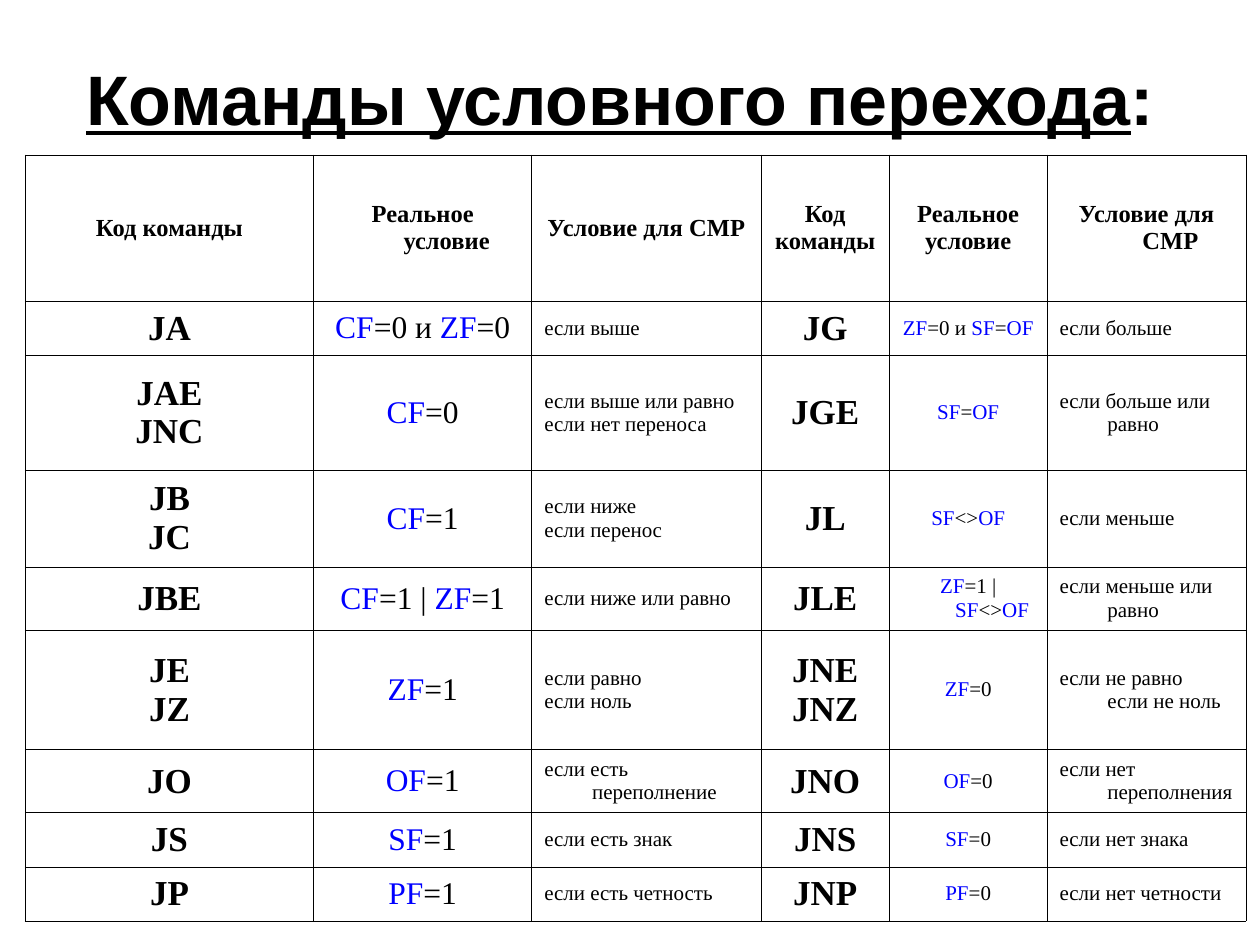
import itertools
from dataclasses import dataclass

import pptx
import pptx.dml.color
import pptx.enum.text
import pptx.oxml
import pptx.oxml.ns
import pptx.util

Inches = pptx.util.Inches
CENTER = pptx.enum.text.PP_ALIGN.CENTER
LEFT = pptx.enum.text.PP_ALIGN.LEFT
MIDDLE = pptx.enum.text.MSO_ANCHOR.MIDDLE


@dataclass(frozen=True)
class Theme:
    ink: str = "000000"
    flag: str = "0000FF"
    title_font: str = "Arial"
    table_font: str = "Times New Roman"
    title_size: int = 40
    header_size: int = 14
    command_size: int = 20
    flag_size: int = 18
    note_size: int = 12
    border_width: float = 0.34
    hanging: float = 0.38


THEME = Theme()


@dataclass(frozen=True)
class CellStyle:
    size: int
    bold: bool = False
    align: pptx.enum.text.PP_ALIGN = CENTER
    marks_flags: bool = False


@dataclass(frozen=True)
class CommandRow:
    height: float
    cells: tuple[str | tuple[str, ...], ...]


HEADER = CellStyle(THEME.header_size, bold=True)
COMMAND = CellStyle(THEME.command_size, bold=True)
NOTE = CellStyle(THEME.note_size, align=LEFT)
COLUMN_STYLES = (
    COMMAND, CellStyle(THEME.flag_size, marks_flags=True), NOTE,
    COMMAND, CellStyle(THEME.note_size, marks_flags=True), NOTE,
)
COLUMN_WIDTHS = (2.29, 1.73, 1.82, 1.02, 1.25, 1.58)

ROWS = (
    CommandRow(1.16, ("Код команды", "Реальное условие", "Условие для CMP",
                      ("Код", "команды"), ("Реальное", "условие"), "Условие для CMP")),
    CommandRow(0.43, ("JA", "CF=0 и ZF=0", "если выше",
                      "JG", "ZF=0 и SF=OF", "если больше")),
    CommandRow(0.91, (("JAE", "JNC"), "CF=0", ("если выше или равно", "если нет переноса"),
                      "JGE", "SF=OF", "если больше или равно")),
    CommandRow(0.77, (("JB", "JC"), "CF=1", ("если ниже", "если перенос"),
                      "JL", "SF<>OF", "если меньше")),
    CommandRow(0.5, ("JBE", "CF=1 | ZF=1", "если ниже или равно",
                     "JLE", "ZF=1 | SF<>OF", "если меньше или равно")),
    CommandRow(0.95, (("JE", "JZ"), "ZF=1", ("если равно", "если ноль"),
                      ("JNE", "JNZ"), "ZF=0", "если не равно\nесли не ноль")),
    CommandRow(0.5, ("JO", "OF=1", "если есть переполнение",
                     "JNO", "OF=0", "если нет переполнения")),
    CommandRow(0.43, ("JS", "SF=1", "если есть знак",
                      "JNS", "SF=0", "если нет знака")),
    CommandRow(0.43, ("JP", "PF=1", "если есть четность",
                      "JNP", "PF=0", "если нет четности")),
)


def add_run(paragraph, text: str, font: str, size: int, color: str,
            bold: bool, underline: bool = False) -> None:
    run = paragraph.add_run()
    run.text = text
    run.font.name = font
    run.font.size = pptx.util.Pt(size)
    run.font.bold = bold
    run.font.underline = underline
    run.font.color.rgb = pptx.dml.color.RGBColor.from_string(color)


def fill_paragraph(paragraph, text: str, style: CellStyle) -> None:
    paragraph.alignment = style.align
    properties = paragraph._p.get_or_add_pPr()
    properties.set("marL", str(Inches(THEME.hanging)))
    properties.set("indent", str(-Inches(THEME.hanging)))
    for number, line in enumerate(text.split("\n")):
        if number:
            paragraph.add_line_break()
        pieces = [(False, line)]
        if style.marks_flags:
            pieces = [(is_flag, "".join(letters))
                      for is_flag, letters in itertools.groupby(line, str.isupper)]
        for is_flag, piece in pieces:
            add_run(paragraph, piece, THEME.table_font, style.size,
                    THEME.flag if is_flag else THEME.ink, style.bold)


def add_borders(cell) -> None:
    properties = cell._tc.get_or_add_tcPr()
    width = pptx.util.Pt(THEME.border_width)
    for side in ("lnL", "lnR", "lnT", "lnB"):
        properties.append(pptx.oxml.parse_xml(
            f'<a:{side} {pptx.oxml.ns.nsdecls("a")} w="{width}"><a:solidFill>'
            f'<a:srgbClr val="{THEME.ink}"/></a:solidFill></a:{side}>'))


def fill_cell(cell, content: str | tuple[str, ...], style: CellStyle) -> None:
    add_borders(cell)
    cell.fill.background()
    cell.vertical_anchor = MIDDLE
    frame = cell.text_frame
    lines = (content,) if isinstance(content, str) else content
    for number, line in enumerate(lines):
        paragraph = frame.add_paragraph() if number else frame.paragraphs[0]
        fill_paragraph(paragraph, line, style)


def add_title(slide) -> None:
    title = slide.shapes.title
    title.left, title.top = Inches(0.5), Inches(0)
    title.width, title.height = Inches(9), Inches(1.55)
    title.text_frame.vertical_anchor = MIDDLE
    paragraph = title.text_frame.paragraphs[0]
    paragraph.alignment = CENTER
    for text, underline in (("Команды условного перехода", True), (": ", False)):
        add_run(paragraph, text, THEME.title_font, THEME.title_size,
                THEME.ink, True, underline)


def add_command_table(slide) -> None:
    table = slide.shapes.add_table(
        len(ROWS), len(COLUMN_WIDTHS), Inches(0.2), Inches(1.23),
        Inches(sum(COLUMN_WIDTHS)), Inches(sum(row.height for row in ROWS))).table
    table.first_row = False
    table.horz_banding = False
    for column, width in zip(table.columns, COLUMN_WIDTHS):
        column.width = Inches(width)
    for index, (table_row, row) in enumerate(zip(table.rows, ROWS)):
        table_row.height = Inches(row.height)
        for cell, content, style in zip(table_row.cells, row.cells, COLUMN_STYLES):
            fill_cell(cell, content, style if index else HEADER)


def main() -> None:
    presentation = pptx.Presentation()
    presentation.slide_width = Inches(10)
    presentation.slide_height = Inches(7.5)
    slide = presentation.slides.add_slide(presentation.slide_layouts[5])
    add_title(slide)
    add_command_table(slide)
    presentation.save("out.pptx")


if __name__ == "__main__":
    main()
